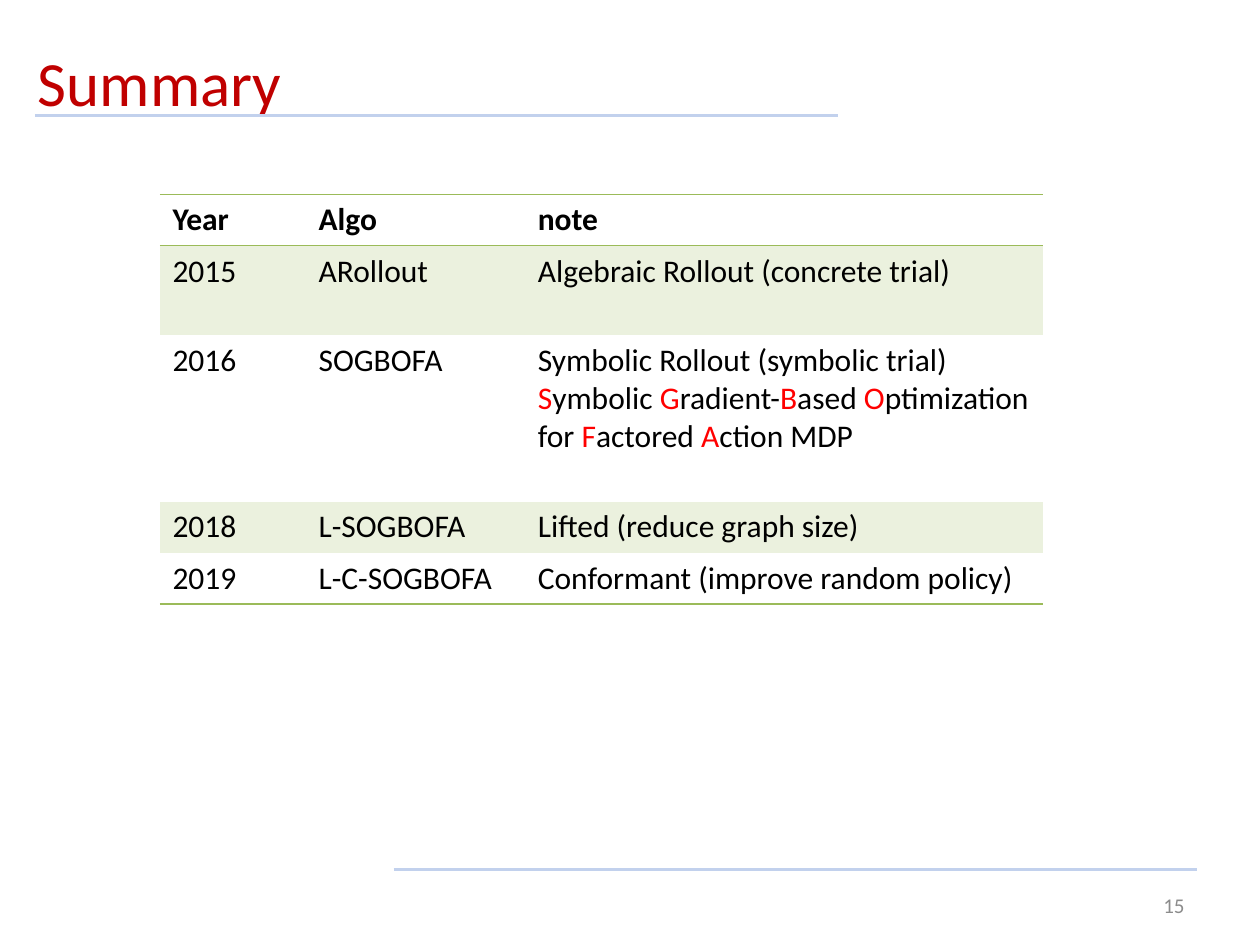
from lxml.etree import SubElement
from pptx import Presentation
from pptx.dml.color import RGBColor
from pptx.enum.shapes import MSO_CONNECTOR
from pptx.enum.text import MSO_ANCHOR, MSO_AUTO_SIZE, PP_ALIGN
from pptx.oxml import parse_xml
from pptx.oxml.ns import nsdecls, qn
from pptx.util import Pt

COLORS = {
    "title": "C00000",
    "rule": "C2D1ED",
    "number": "8C8C8C",
    "text": "000000",
    "initial": "FF0000",
    "border": "9BBB59",
    "band": "EBF1DE",
}
FONT = "Calibri"
PLAIN_TABLE_STYLE = "{2D5ABB26-0587-4C30-8999-92F81FD0307C}"
RULE_LENGTH = 458.9

COLUMN_WIDTHS = [83.5, 125.3, 295.9]
ROW_HEIGHTS = [29.2, 50.9, 95.4, 29.2, 29.2]
ALGORITHMS = [
    ["Year", "Algo", "note"],
    ["2015", "ARollout", "Algebraic Rollout (concrete trial)"],
    ["2016", "SOGBOFA", "Symbolic Rollout (symbolic trial)\n"
     "*S*ymbolic *G*radient-*B*ased *O*ptimization for *F*actored *A*ction MDP"],
    ["2018", "L-SOGBOFA", "Lifted (reduce graph size)"],
    ["2019", "L-C-SOGBOFA", "Conformant (improve random policy)"],
]


def color(key):
    return RGBColor.from_string(COLORS[key])


def style(paragraph, size, key, bold=False):
    font = paragraph.font
    font.name, font.size, font.bold = FONT, Pt(size), bold
    font.color.rgb = color(key)


def add_title(slide, left, top, width, height):
    title = slide.shapes.title
    title.left, title.top = Pt(left), Pt(top)
    title.width, title.height = Pt(width), Pt(height)
    frame = title.text_frame
    frame.text = "Summary"
    frame.auto_size = MSO_AUTO_SIZE.NONE
    frame.vertical_anchor = MSO_ANCHOR.TOP
    heading = frame.paragraphs[0]
    heading.alignment = PP_ALIGN.LEFT
    style(heading, 36, "title")


def add_rule(slide, left, top, width):
    rule = slide.shapes.add_connector(
        MSO_CONNECTOR.STRAIGHT, Pt(left), Pt(top), Pt(left + width), Pt(top))
    rule.line.color.rgb = color("rule")
    rule.line.width = Pt(2)
    SubElement(rule._element.spPr, qn("a:effectLst"))


def add_page_number(slide, left, top, width, height):
    frame = slide.shapes.add_textbox(
        Pt(left), Pt(top), Pt(width), Pt(height)).text_frame
    frame.word_wrap = True
    frame.vertical_anchor = MSO_ANCHOR.MIDDLE
    frame.text = "15"
    number = frame.paragraphs[0]
    number.alignment = PP_ALIGN.RIGHT
    style(number, 12, "number")


def add_border(cell, side):
    border = parse_xml(
        f'<a:{side} {nsdecls("a")} w="12700"><a:solidFill>'
        f'<a:srgbClr val="{COLORS["border"]}"/></a:solidFill></a:{side}>')
    cell._tc.get_or_add_tcPr().insert(0, border)


def fill_cell(cell, content, bold):
    frame = cell.text_frame
    for index, line in enumerate(content.split("\n")):
        paragraph = frame.add_paragraph() if index else frame.paragraphs[0]
        style(paragraph, 18, "text", bold)
        for part, piece in enumerate(line.split("*")):
            if piece:
                run = paragraph.add_run()
                run.text = piece
                if part % 2:
                    run.font.color.rgb = color("initial")


def add_algorithm_table(slide, left, top):
    table = slide.shapes.add_table(
        len(ROW_HEIGHTS), len(COLUMN_WIDTHS), Pt(left), Pt(top),
        Pt(sum(COLUMN_WIDTHS)), Pt(sum(ROW_HEIGHTS))).table
    table._tbl.tblPr.find(qn("a:tableStyleId")).text = PLAIN_TABLE_STYLE
    table.horz_banding = False
    for column, width in zip(table.columns, COLUMN_WIDTHS):
        column.width = Pt(width)
    last = len(ROW_HEIGHTS) - 1
    for index, (row, height) in enumerate(zip(table.rows, ROW_HEIGHTS)):
        row.height = Pt(height)
        for cell, content in zip(row.cells, ALGORITHMS[index]):
            fill_cell(cell, content, bold=index == 0)
            if index % 2:
                cell.fill.solid()
                cell.fill.fore_color.rgb = color("band")
            else:
                cell.fill.background()
            if index in (0, last):
                add_border(cell, "lnB")
            if index == 0:
                add_border(cell, "lnT")


def main():
    presentation = Presentation()
    presentation.slide_width, presentation.slide_height = Pt(720), Pt(540)
    slide = presentation.slides.add_slide(presentation.slide_layouts[5])
    add_rule(slide, 20, 66, RULE_LENGTH)
    add_rule(slide, 225, 496.8, RULE_LENGTH)
    add_page_number(slide, 598.5, 502.8, 85.5, 28.8)
    add_title(slide, 14.4, 21, 454.3, 49.7)
    add_algorithm_table(slide, 91.4, 111.2)
    presentation.save("out.pptx")


if __name__ == "__main__":
    main()
